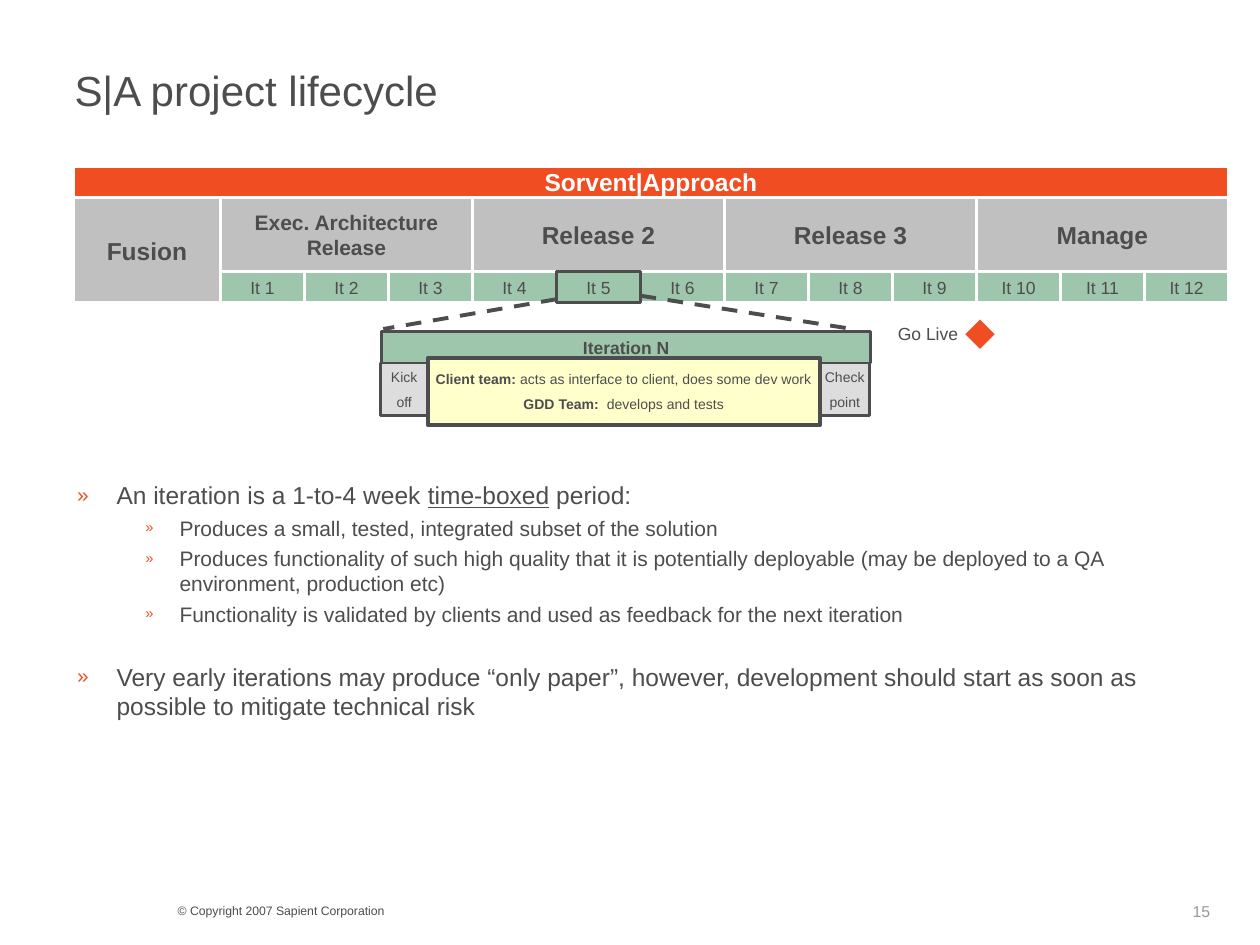
from lxml import etree
from pptx import Presentation
from pptx.dml.color import RGBColor
from pptx.enum import dml, shapes, text
from pptx.oxml import ns
from pptx.util import Pt

INK, WHITE, RED = "4D4D4D", "FFFFFF", "F04E22"
GREY, GREEN, PALE, CREAM = "C0C0C0", "9EC6AD", "DDDDDD", "FFFFCC"
MID, LEFT, RIGHT = text.PP_ALIGN.CENTER, text.PP_ALIGN.LEFT, text.PP_ALIGN.RIGHT

TITLE = "S|A project lifecycle"
BANNER = "Sorvent|Approach"
START = "Fusion"
PHASES = [("Exec. Architecture Release", 12), ("Release 2", 14),
          ("Release 3", 14), ("Manage", 14)]
STEPS = 12
FOCUS = 4
DETAIL = [
    ((218, 189.5, 279.5, 18), GREEN, 1.5, 10, [[("Iteration N", "b")]]),
    ((217.5, 207.5, 27, 30), PALE, 1.5, 8, [[("Kick", "")], [("off", "")]]),
    ((468.5, 207.5, 28.5, 30), PALE, 1.5, 8, [[("Check", "")], [("point", "")]]),
    ((244.5, 204.5, 224, 38.5), CREAM, 2.25, 8, [
        [("Client team:", "b"),
         (" acts as interface to client, does some dev work", "")],
        [("GDD Team: ", "b"), (" develops and tests", "")]]),
]
RAYS = [((318, 171), (219, 188)), ((366, 169), (487, 188))]
POINTS = [
    (0, 0, [("An iteration is a 1-to-4 week ", ""), ("time-boxed", "u"),
            (" period:", "")]),
    (1, 3, [("Produces a small, tested, integrated subset of the solution", "")]),
    (1, 3, [("Produces functionality of such high quality that it is potentially "
             "deployable (may be deployed to a QA environment, production etc)", "")]),
    (1, 3, [("Functionality is validated by clients and used as feedback "
             "for the next iteration", "")]),
    (0, 20.3, [("Very early iterations may produce “only paper”, however, development "
                "should start as soon as possible to mitigate technical risk", "")]),
]
LEVELS = [(22.5, -22.5, 85, 14), (58.5, -19.5, 70, 12)]

deck = Presentation()
deck.slide_width, deck.slide_height = Pt(720), Pt(540)
slide = deck.slides.add_slide(deck.slide_layouts[6])


def color(code):
    return RGBColor.from_string(code)


def add_runs(para, runs, size, ink):
    for words, style in runs:
        run = para.add_run()
        run.text = words
        font = run.font
        font.name, font.size = "Arial", Pt(size)
        font.color.rgb = color(ink)
        if "b" in style:
            font.bold = True
        if "u" in style:
            font.underline = True


def fill_text(shape, paras, size, ink=INK, align=MID, gap=5, wrap=True,
              side=7.2, anchor=text.MSO_ANCHOR.MIDDLE):
    frame = shape.text_frame
    frame.word_wrap = wrap
    frame.vertical_anchor = anchor
    frame.margin_left = frame.margin_right = Pt(side)
    frame.margin_top = frame.margin_bottom = Pt(3.6)
    for num, runs in enumerate(paras):
        para = frame.add_paragraph() if num else frame.paragraphs[0]
        para.alignment = align
        if num:
            para.space_before = Pt(gap)
        add_runs(para, runs, size, ink)


def add_box(place, fill, line, width=1.5, kind=shapes.MSO_SHAPE.RECTANGLE):
    box = slide.shapes.add_shape(kind, *map(Pt, place))
    box.shadow.inherit = False
    box.fill.solid()
    box.fill.fore_color.rgb = color(fill)
    box.line.color.rgb = color(line)
    box.line.width = Pt(width)
    return box


def add_label(place, words, size, ink=INK, **opts):
    label = slide.shapes.add_textbox(*map(Pt, place))
    fill_text(label, [[(words, "")]], size, ink, **opts)


def add_ray(start, end):
    ray = slide.shapes.add_connector(
        shapes.MSO_CONNECTOR.STRAIGHT, *map(Pt, start + end))
    ray.line.color.rgb = color(INK)
    ray.line.width = Pt(2.25)
    ray.line.dash_style = dml.MSO_LINE.DASH
    etree.SubElement(ray._element.spPr, ns.qn("a:effectLst"))


def add_step(num, line=WHITE):
    box = add_box((126 + 48 * num, 155, 48, 18), GREEN, line)
    fill_text(box, [[(f"It {num + 1}", "")]], 10, side=0)


def add_bullet(para, indent, hang, scale):
    props = para._p.get_or_add_pPr()
    props.set("marL", str(Pt(indent)))
    props.set("indent", str(Pt(hang)))
    tint = etree.SubElement(props, ns.qn("a:buClr"))
    etree.SubElement(tint, ns.qn("a:srgbClr"), val=RED)
    etree.SubElement(props, ns.qn("a:buSzPct"), val=str(scale * 1000))
    etree.SubElement(props, ns.qn("a:buFont"), typeface="Arial")
    etree.SubElement(props, ns.qn("a:buChar"), char="»")


add_label((94.5, 512.5, 288, 16), "© Copyright 2007 Sapient Corporation", 7, align=LEFT)
add_label((675, 512, 54, 17), "15", 9, "999999", align=LEFT, side=6.5)
add_label((35.5, 31.5, 649, 40), TITLE, 24, align=LEFT)

fill_text(add_box((42, 113, 84, 60), GREY, WHITE), [[(START, "b")]], 14)
for num, (name, size) in enumerate(PHASES):
    box = add_box((126 + 144 * num, 113, 144, 42), GREY, WHITE)
    fill_text(box, [[(name, "b")]], size)
fill_text(add_box((42, 95, 660, 18), RED, WHITE), [[(BANNER, "b")]], 14, WHITE)

for num in range(STEPS):
    if num != FOCUS:
        add_step(num)
for start, end in RAYS:
    add_ray(start, end)
add_step(FOCUS, INK)

for place, fill, width, size, paras in DETAIL:
    fill_text(add_box(place, fill, INK, width), paras, size, wrap=False)

add_box((551, 182, 18, 18), RED, WHITE, 0.75, shapes.MSO_SHAPE.DIAMOND)
add_label((506, 181, 48.5, 19.5), "Go Live", 10, align=RIGHT, wrap=False)

body = slide.shapes.add_textbox(Pt(37), Pt(271), Pt(647), Pt(251))
frame = body.text_frame
frame.word_wrap = True
for num, (level, gap, runs) in enumerate(POINTS):
    para = frame.add_paragraph() if num else frame.paragraphs[0]
    indent, hang, scale, size = LEVELS[level]
    add_bullet(para, indent, hang, scale)
    para.level = level
    if num:
        para.space_before = Pt(gap)
    add_runs(para, runs, size, INK)

deck.save("out.pptx")
